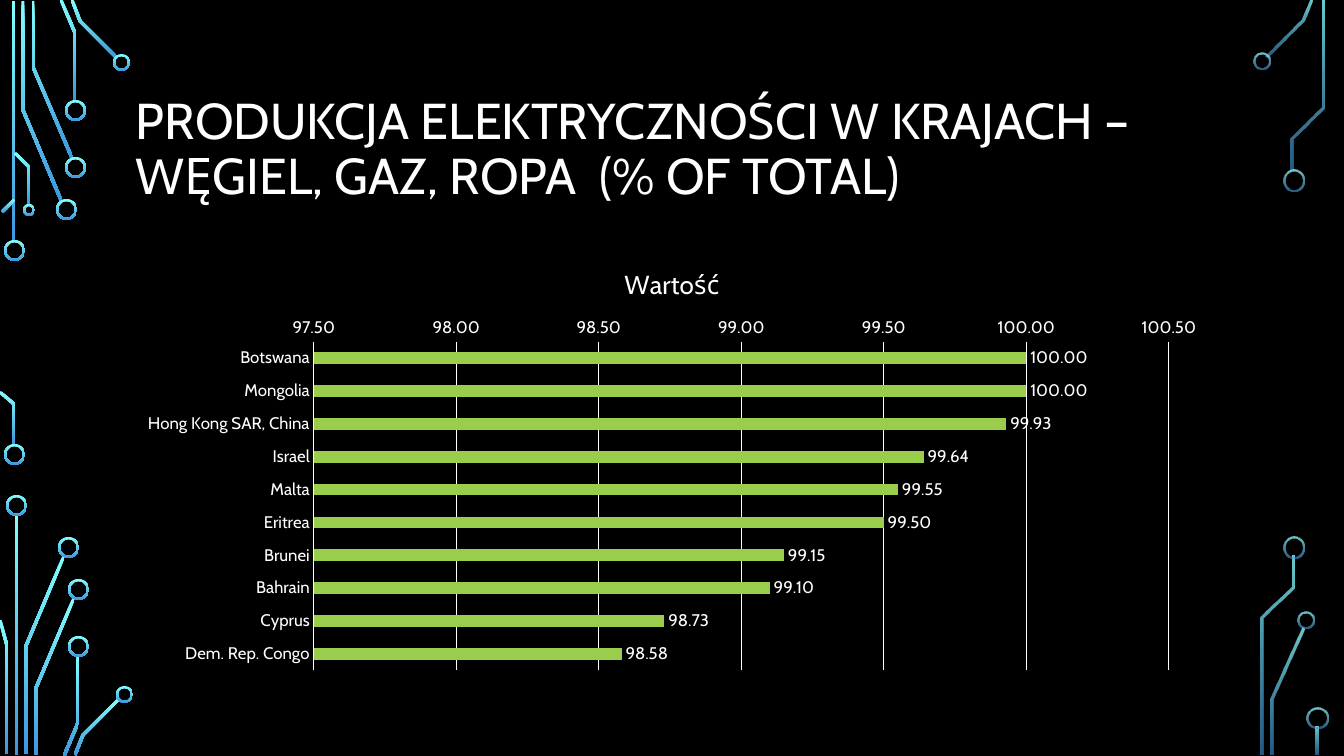
from math import hypot

from lxml import etree
from pptx import Presentation
from pptx import util as u
from pptx.chart.data import CategoryChartData
from pptx.dml.color import RGBColor
from pptx.enum import chart as charts, shapes, text
from pptx.oxml.ns import qn

TITLE = "PRODUKCJA ELEKTRYCZNOŚCI W KRAJACH – WĘGIEL, GAZ, ROPA  (% OF TOTAL)"
SERIES = "Wartość"
COUNTRIES = {
    "Botswana": 100, "Mongolia": 100, "Hong Kong SAR, China": 99.93,
    "Israel": 99.64, "Malta": 99.55, "Eritrea": 99.50, "Brunei": 99.15,
    "Bahrain": 99.10, "Cyprus": 98.73, "Dem. Rep. Congo": 98.58,
}

# Circuit decoration in px: bars (left, top, width, height),
# rings (centre x, centre y, diameter), traces (centre line points)
LEFT_CIRCUIT = {
    "bars": [(12, 1, 3, 241), (15, 514, 3, 241)],
    "rings": [
        (14, 250, 21), (14, 454, 21), (66, 209, 21), (75, 167, 21),
        (75, 110, 21), (121, 62, 17), (29, 210, 12), (16, 505, 21),
        (68, 547, 21), (78, 589, 21), (78, 646, 21), (124, 694, 17),
    ],
    "traces": [
        [(61, 200), (23, 110), (23, 1)],
        [(72, 158), (33, 67), (33, 1)],
        [(75, 101), (75, 33), (61, 0)],
        [(116, 57), (80, 21), (72, 0)],
        [(2, 212), (14, 200)],
        [(14, 444), (14, 404), (0, 392)],
        [(29, 205), (29, 167), (15, 153)],
        [(26, 754), (26, 646), (64, 556)],
        [(7, 754), (7, 646), (0, 620)],
        [(36, 755), (36, 688), (74, 598)],
        [(64, 756), (78, 723), (78, 655)],
        [(75, 755), (83, 735), (119, 699)],
    ],
}
RIGHT_CIRCUIT = {
    "bars": [(1316, 727, 3, 28)],
    "rings": [
        (1262, 61, 17), (1293, 180, 21), (1306, 620, 17),
        (1293, 547, 21), (1317, 718, 21),
    ],
    "traces": [
        [(1267, 56), (1303, 20), (1311, 0)],
        [(1272, 755), (1272, 699), (1303, 628)],
        [(1292, 171), (1292, 139), (1323, 108), (1323, 1)],
        [(1262, 755), (1262, 618), (1293, 588), (1293, 556)],
    ],
}
TRACE_WIDTH = 3
RING_WIDTH = 2

BLACK = RGBColor(0x00, 0x00, 0x00)
WHITE = RGBColor(0xFF, 0xFF, 0xFF)
GREEN = RGBColor(0x9A, 0xCD, 0x4C)
CYAN = RGBColor(0x82, 0xFF, 0xFF)
BLUE = RGBColor(0x3D, 0x97, 0xDE)
FONT = "Cabin"
EMU_PER_PX = 914400 / 100.8


def px(value):
    return u.Emu(round(value * EMU_PER_PX))


def style_font(font, size):
    font.name = FONT
    font.size = u.Pt(size)
    font.bold = False
    font.color.rgb = WHITE


def paint(shape, opacities):
    shape.shadow.inherit = False
    shape.line.fill.background()
    shape.fill.gradient()
    shape.fill.gradient_angle = 270
    for stop, color in zip(shape.fill.gradient_stops, (CYAN, BLUE)):
        stop.color.rgb = color
    if opacities:
        for color, percent in zip(shape._element.iter(qn("a:srgbClr")), opacities):
            etree.SubElement(color, qn("a:alpha"), val=str(percent * 1000))


def ribbon(points, width):
    """Outline of a mitred band around a centre line."""
    normals = []
    for (x1, y1), (x2, y2) in zip(points, points[1:]):
        length = hypot(x2 - x1, y2 - y1)
        normals.append(((y1 - y2) / length, (x2 - x1) / length))
    one_side, other_side = [], []
    for (x, y), (ax, ay), (bx, by) in zip(
            points, normals[:1] + normals, normals + normals[-1:]):
        reach = width / 2 / (1 + ax * bx + ay * by)
        dx, dy = (ax + bx) * reach, (ay + by) * reach
        one_side.append((px(x + dx), px(y + dy)))
        other_side.append((px(x - dx), px(y - dy)))
    return one_side + other_side[::-1]


def add_circuit(slide, circuit, opacities=None):
    for bar in circuit["bars"]:
        shape = slide.shapes.add_shape(
            shapes.MSO_SHAPE.RECTANGLE, *(px(length) for length in bar))
        paint(shape, opacities)
    for points in circuit["traces"]:
        start, *others = ribbon(points, TRACE_WIDTH)
        builder = slide.shapes.build_freeform(*start)
        builder.add_line_segments(others, close=True)
        paint(builder.convert_to_shape(), opacities)
    for x, y, diameter in circuit["rings"]:
        shape = slide.shapes.add_shape(
            shapes.MSO_SHAPE.DONUT, px(x - diameter // 2), px(y - diameter // 2),
            px(diameter), px(diameter))
        shape.adjustments[0] = RING_WIDTH / diameter
        paint(shape, opacities)


def add_title(slide):
    frame = slide.shapes.add_textbox(px(126), px(69), px(1092), px(163)).text_frame
    frame.word_wrap = True
    frame.vertical_anchor = text.MSO_ANCHOR.MIDDLE
    paragraph = frame.paragraphs[0]
    paragraph.line_spacing = 0.9
    run = paragraph.add_run()
    run.text = TITLE
    style_font(run.font, 36)


def add_bar_chart(slide):
    data = CategoryChartData(number_format="0.00")
    data.categories = list(COUNTRIES)
    data.add_series(SERIES, list(COUNTRIES.values()))
    chart = slide.shapes.add_chart(
        charts.XL_CHART_TYPE.BAR_CLUSTERED,
        px(126), px(248), px(1092), px(431), data).chart
    style_font(chart.font, 10)
    chart.has_legend = False
    chart.has_title = True
    run = chart.chart_title.text_frame.paragraphs[0].add_run()
    run.text = SERIES
    style_font(run.font, 18.6)

    # Bars and value labels
    plot = chart.plots[0]
    plot.gap_width = 182
    plot.vary_by_categories = False
    bars = plot.series[0].format
    bars.fill.solid()
    bars.fill.fore_color.rgb = GREEN
    plot.has_data_labels = True
    labels = plot.data_labels
    labels.show_value = True
    labels.number_format = "0.00"
    labels.number_format_is_linked = False
    labels.position = charts.XL_LABEL_POSITION.OUTSIDE_END
    style_font(labels.font, 12)

    # Axes
    countries, values = chart.category_axis, chart.value_axis
    for axis in (countries, values):
        axis.major_tick_mark = charts.XL_TICK_MARK.NONE
        axis.minor_tick_mark = charts.XL_TICK_MARK.NONE
        style_font(axis.tick_labels.font, 12)
    countries.reverse_order = True
    values.minimum_scale, values.maximum_scale, values.major_unit = 97.5, 100.5, 0.5
    values.tick_labels.number_format = "0.00"
    values.tick_labels.number_format_is_linked = False
    values.format.line.fill.background()
    values.has_major_gridlines = True
    for line in (countries.format.line, values.major_gridlines.format.line):
        line.color.rgb = WHITE
        line.width = u.Pt(0.75)


def main():
    presentation = Presentation()
    presentation.slide_width, presentation.slide_height = px(1344), px(756)
    slide = presentation.slides.add_slide(presentation.slide_layouts[6])
    slide.background.fill.solid()
    slide.background.fill.fore_color.rgb = BLACK
    add_circuit(slide, LEFT_CIRCUIT)
    add_circuit(slide, RIGHT_CIRCUIT, opacities=(80, 60))
    add_title(slide)
    add_bar_chart(slide)
    presentation.save("out.pptx")


if __name__ == "__main__":
    main()
